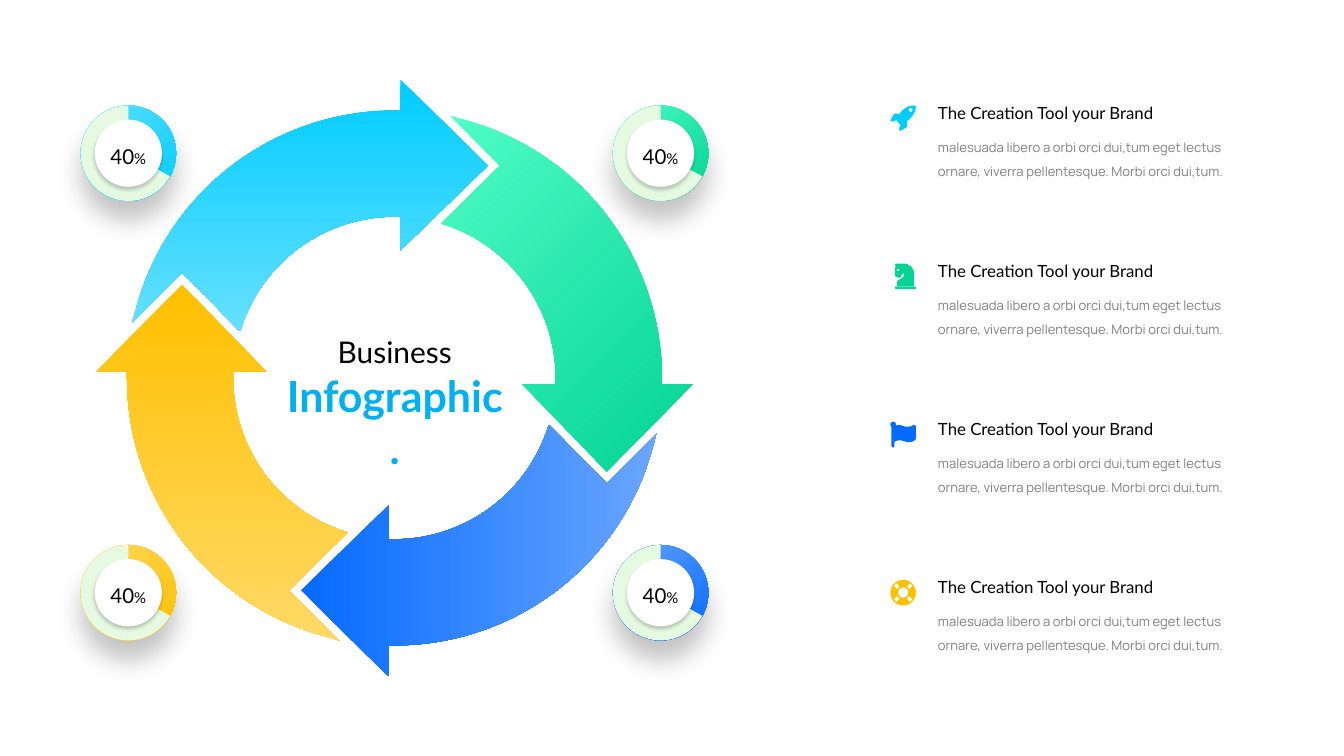
from math import cos, radians, sin

from lxml.etree import SubElement
from pptx import Presentation
from pptx.dml.color import RGBColor
from pptx.enum.shapes import MSO_SHAPE as Shape
from pptx.enum.text import MSO_ANCHOR as Anchor, MSO_AUTO_SIZE as AutoSize, PP_ALIGN as Align
from pptx.oxml.ns import qn
from pptx.util import Inches, Pt

BLACK, WHITE = RGBColor(0, 0, 0), RGBColor(255, 255, 255)
GREY, PALE = RGBColor(0x80, 0x80, 0x80), RGBColor(0xE5, 0xFA, 0xE1)
SKY = RGBColor(0x00, 0xB0, 0xF0)
CYAN, CYAN_LIGHT = RGBColor(0x00, 0xCC, 0xFF), RGBColor(0x66, 0xE0, 0xFF)
GREEN, GREEN_LIGHT = RGBColor(0x03, 0xD3, 0x93), RGBColor(0x50, 0xFD, 0xC7)
BLUE, BLUE_LIGHT = RGBColor(0x05, 0x6A, 0xFF), RGBColor(0x69, 0xA6, 0xFF)
GOLD, GOLD_LIGHT = RGBColor(0xFF, 0xC0, 0x00), RGBColor(0xFF, 0xD9, 0x66)


def arc(radius, start, end, steps=40, centre=(0, 0)):
    """Points along an arc; angles run clockwise from the right."""
    angles = [radians(start + (end - start) * i / steps) for i in range(steps + 1)]
    return [(centre[0] + radius * cos(a), centre[1] + radius * sin(a)) for a in angles]


# Content
TITLE = [("Business", {"size": Pt(32), "bold": False}, BLACK),
         ("Infographic.", {"size": Pt(46), "bold": True}, SKY)]
HEADING = "The Creation Tool your Brand"
DETAIL = "malesuada libero a orbi orci dui,tum eget lectus ornare, viverra pellentesque. Morbi orci dui,tum."
# Clockwise from the top: gradient start, end, clockwise angle
ARROWS = [(CYAN, CYAN_LIGHT, 90), (GREEN_LIGHT, GREEN, 45),
          (BLUE, BLUE_LIGHT, 0), (GOLD, GOLD_LIGHT, 90)]
# Left, top, gradient start and end
GAUGES = [(9.12, 1.57, GREEN_LIGHT, GREEN), (9.12, 8.11, BLUE_LIGHT, BLUE),
          (1.2, 1.57, CYAN_LIGHT, CYAN), (1.2, 8.11, GOLD_LIGHT, GOLD)]
GAUGE_TEXT = [("40", 22), ("%", 16)]

# Icon outlines, in hundredths of an inch
ROCKET = [
    [(38, 0), (37.5, 6), (36, 10), (33, 15), (30, 19), (25, 23), (25, 32), (16, 37),
     (15, 37.5), (13, 36), (13, 35), (15, 29), (9, 22), (2, 24), (1, 24), (0, 22),
     (5, 13), (6, 12), (14, 12), (18, 7), (22, 4), (27, 1), (32, 0)],
    arc(2.8, 0, 360, 16, (30, 6.7))]
KNIGHT = [
    arc(1.7, 0, 360, 16, (11, 9.5)),
    [(8, 0), (7, 1), (7, 2), (8, 4), (7, 6), (7, 19), (12, 21), (13, 21), (16, 20),
     (17, 16), (18, 15), (20, 14), (20, 18), (19, 20), (18, 21), (13, 24), (11, 25),
     (10, 27), (10, 33), (35, 33), (35, 15), (35, 12), (34, 9), (32, 6), (31, 4),
     (28, 3), (26, 1), (23, 0.3), (21, 0)],
    [(8, 34), (7, 35), (7, 37), (8, 38), (37, 38), (38, 37), (38, 35), (37, 34)]]
FLAG = [
    [(4, 0), (2, 0.5), (0.5, 2), (0, 4), (0.5, 6), (1.5, 8), (1.5, 36), (2, 37.5), (3, 38),
     (5, 38), (6, 37), (6, 30), (10, 28), (15, 27.5), (19, 28.5), (24, 30), (27, 30.5),
     (31, 30), (34, 29), (37, 27), (38, 25), (38, 7), (37, 5.5), (36, 5), (34, 5),
     (30, 7), (25, 7.5), (21, 7), (15, 5), (11, 4.5), (8, 6), (8, 3), (7, 1), (5, 0)]]
SPOKE = [(-10, -14), (-5, -9), (-9, -5), (-14, -10)]
LIFEBUOY = [arc(19, 0, 360, 48, (19, 19)), arc(7.5, 0, 360, 32, (19, 19))] + [
    [(19 + sx * x, 19 + sy * y) for x, y in SPOKE] for sx in (-1, 1) for sy in (-1, 1)]
ITEMS = [(ROCKET, CYAN), (KNIGHT, GREEN), (FLAG, BLUE), (LIFEBUOY, GOLD)]

# One cycle arrow around the ring centre; the others are quarter turns of it
CENTRE = (5.87, 5.625)
ARROW = (arc(3.98, -166.5, -90) + [(0.09, -3.98), (0.09, -4.44), (1.39, -3.16),
                                   (0.09, -1.9), (0.09, -2.4)]
         + arc(2.4, -90, -163.2) + [(-3.16, -1.57), (-3.91, -0.82)])

deck = Presentation()
deck.slide_width, deck.slide_height = Inches(20), Inches(11.25)
page = deck.slides.add_slide(deck.slide_layouts[5])


def paint(shape, colours, angle=0, shadow=None):
    """Fill with one colour or a gradient; shadow is opacity, blur, distance."""
    shape.line.fill.background()
    shape.shadow.inherit = False
    if len(colours) == 1:
        shape.fill.solid()
        shape.fill.fore_color.rgb = colours[0]
    else:
        shape.fill.gradient()
        shape.fill.gradient_angle = (360 - angle) % 360
        for stop, colour in zip(shape.fill.gradient_stops, colours):
            stop.color.rgb = colour
    if shadow:
        opacity, blur, distance = shadow
        effects = shape._element.spPr.find(qn("a:effectLst"))
        outer = SubElement(effects, qn("a:outerShdw"), blurRad=str(Pt(blur)),
                           dist=str(Pt(distance)), dir="5400000", algn="t", rotWithShape="0")
        tone = SubElement(outer, qn("a:srgbClr"), val="000000")
        SubElement(tone, qn("a:alpha"), val=str(opacity * 1000))


def outline(contours, left, top, unit=1.0):
    """Build one freeform from closed contours."""
    contours = [[(Inches(left + x * unit), Inches(top + y * unit)) for x, y in contour]
                for contour in contours]
    builder = page.shapes.build_freeform(*contours[0][0])
    for i, contour in enumerate(contours):
        if i:
            builder.move_to(*contour[0])
        builder.add_line_segments(contour[1:], close=True)
    return builder.convert_to_shape()


def disc(kind, left, top, size, *colours, shadow=None):
    shape = page.shapes.add_shape(kind, *map(Inches, (left, top, size, size)))
    paint(shape, colours, 45, shadow)
    return shape


def write(para, text, colour, face="Lato", **font):
    span = para.add_run()
    span.text = text
    span.font.color.rgb = colour
    for name, value in {"name": face, **font}.items():
        setattr(span.font, name, value)


def text_box(left, top, width, height, spans, **layout):
    box = page.shapes.add_textbox(*map(Inches, (left, top, width, height)))
    box.text_frame.word_wrap = True
    box.text_frame.auto_size = AutoSize.SHAPE_TO_FIT_TEXT
    para = box.text_frame.paragraphs[0]
    for name, value in layout.items():
        setattr(para, name, value)
    for text, size, colour, face in spans:
        write(para, text, colour, face, size=Pt(size))


# Icons with heading and detail
for i, (icon, colour) in enumerate(ITEMS):
    top = 1.48 + 2.353 * i
    text_box(13.86, top, 4.32, 0.4, [(HEADING, 18, BLACK, "Lato")])
    text_box(13.86, top + 0.43, 4.94, 0.81, [(DETAIL, 14, GREY, "Manrope")], line_spacing=1.5)
    paint(outline(icon, 13.25, top + 0.09, 0.01), [colour])

# Cycle arrows
points = ARROW
for start, end, angle in ARROWS:
    paint(outline([points], *CENTRE), [start, end], angle)
    points = [(-y, x) for x, y in points]

# Percentage gauges
for left, top, start, end in GAUGES:
    disc(Shape.OVAL, left, top, 1.42, start, end, shadow=(23, 28, 21))
    pie = disc(Shape.PIE, left, top, 1.42, PALE)
    pie.adjustments[0], pie.adjustments[1] = 17.43, 162
    disc(Shape.OVAL, left + 0.21, top + 0.21, 1, WHITE, shadow=(20, 4, 3))
    text_box(left + 0.28, top + 0.41, 0.86, 0.59,
             [(text, size, BLACK, "Lato") for text, size in GAUGE_TEXT],
             alignment=Align.CENTER, line_spacing=1.3, space_after=Pt(6))

# Title inside the ring
title = page.shapes.title
title.left, title.top, title.width, title.height = map(Inches, (4.13, 4.92, 3.49, 1.41))
frame = title.text_frame
for name, value in {"word_wrap": True, "auto_size": AutoSize.NONE,
                    "vertical_anchor": Anchor.TOP}.items():
    setattr(frame, name, value)
for i, (text, font, colour) in enumerate(TITLE):
    para = frame.add_paragraph() if i else frame.paragraphs[0]
    para.alignment = Align.CENTER
    write(para, text, colour, **font)

deck.save("out.pptx")
